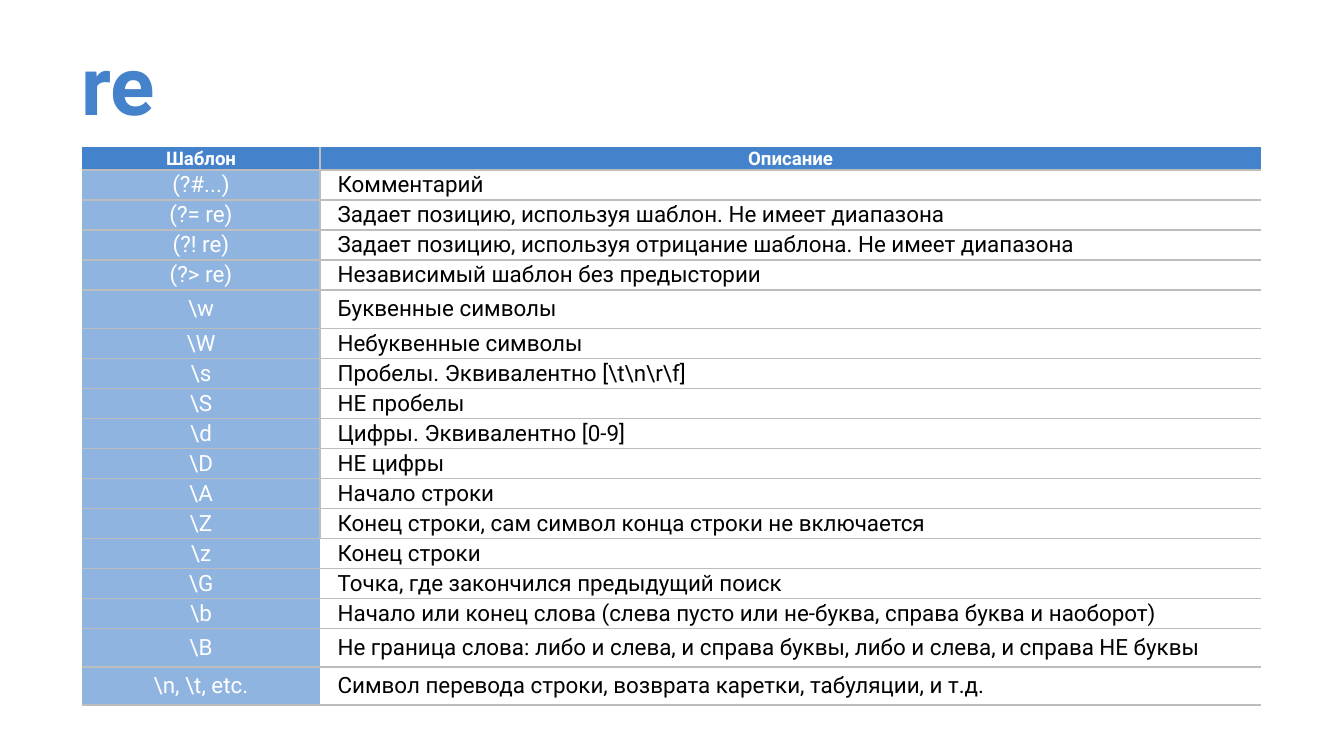
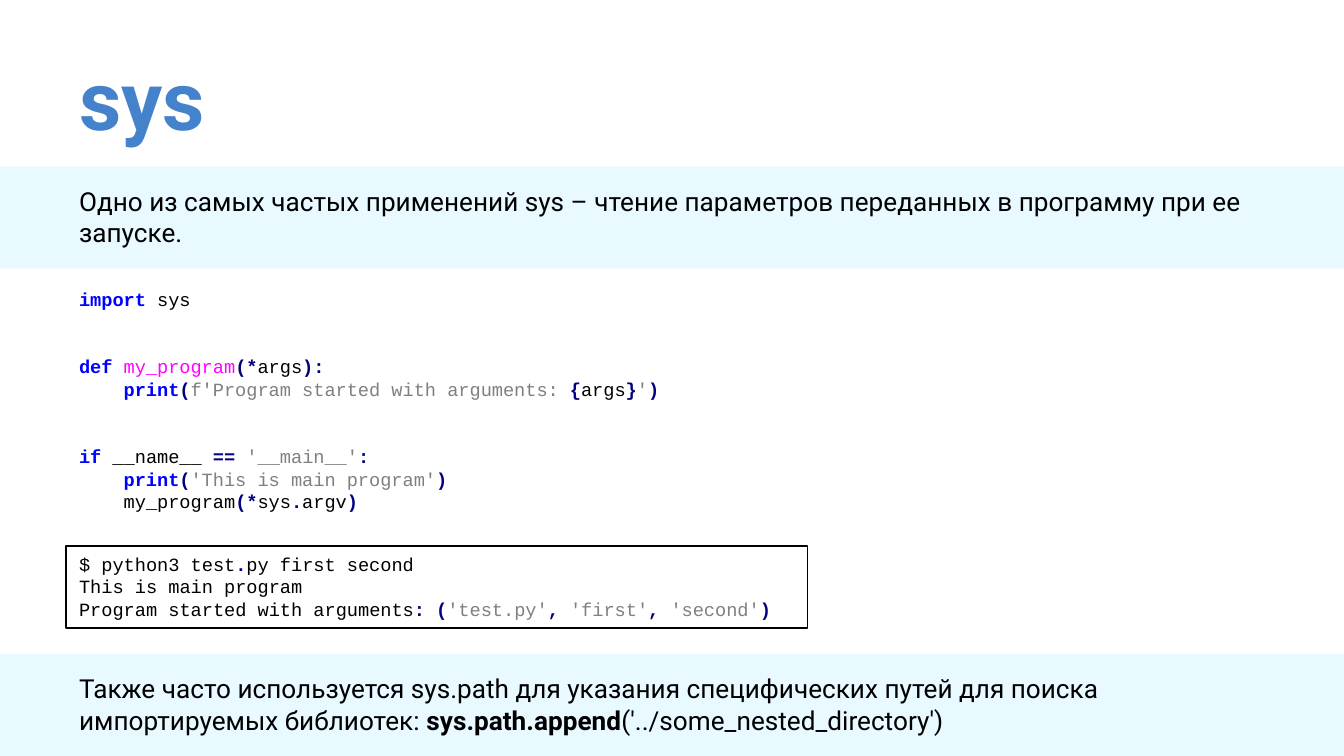
from lxml import etree
from pptx import Presentation
from pptx.dml.color import RGBColor
from pptx.enum import shapes, text
from pptx.oxml.ns import qn
from pptx.util import Pt

hue = RGBColor.from_string
BLUE, PALE, SKY = "4482CC", "8FB4E0", "E8F9FF"
GREY, WHITE, BLACK = "BDBDBD", "FFFFFF", "000000"

# Formats shared by both slides
HEAD = {"name": "Roboto", "size": Pt(44), "bold": True, "color": BLUE}
BODY = {"name": "Roboto", "size": Pt(14), "bold": False, "color": BLACK}
CELL = {**BODY, "size": Pt(12)}
CODE = {"name": "Courier New", "size": Pt(10), "bold": False, "color": BLACK}
# Code colours: t plain, k keyword, n name, o operator, s string
INK = {
    "t": CODE,
    "k": {**CODE, "bold": True, "color": "0000FF"},
    "n": {**CODE, "color": "FF00FF"},
    "o": {**CODE, "bold": True, "color": "000080"},
    "s": {**CODE, "color": "808080"},
}


def write(para, words, form):
    run = para.add_run()
    run.text = words
    for key, val in form.items():
        if key == "color":
            run.font.color.rgb = hue(val)
        else:
            setattr(run.font, key, val)


def fill_box(shape, lines, pad=None):
    frame = shape.text_frame
    frame.word_wrap = True
    frame.vertical_anchor = text.MSO_ANCHOR.TOP
    if pad is None:
        frame.auto_size = text.MSO_AUTO_SIZE.SHAPE_TO_FIT_TEXT
    else:
        for side in ("left", "right", "top", "bottom"):
            setattr(frame, "margin_" + side, Pt(pad))
    for i, (gap, runs) in enumerate(lines):
        para = frame.add_paragraph() if i else frame.paragraphs[0]
        para.alignment = text.PP_ALIGN.LEFT
        if gap:
            para.space_before = Pt(gap)
        for words, form in runs:
            write(para, words, form)


prs = Presentation()
prs.slide_width, prs.slide_height = Pt(720), Pt(405)

# Slides and their titles
pages = []
for name, left, top, wide, high in (
    ("re", 36.7, 20.9, 683.3, 83.5),
    ("sys", 35.3, 18.7, 684.7, 54.7),
):
    page = prs.slides.add_slide(prs.slide_layouts[6])
    title = page.shapes.add_textbox(Pt(left), Pt(top), Pt(wide), Pt(high))
    fill_box(title, [(0, [(name, HEAD)])], 7.2)
    pages.append((page, title))
pages[0][1].text_frame.paragraphs[0].line_spacing = 0.8

# Slide 1: table of patterns
rows = [
    ("Шаблон", "Описание"),
    ("(?#...)", "Комментарий"),
    ("(?= re)", "Задает позицию, используя шаблон. Не имеет диапазона"),
    ("(?! re)", "Задает позицию, используя отрицание шаблона. Не имеет диапазона"),
    ("(?> re)", "Независимый шаблон без предыстории"),
    (r"\w", "Буквенные символы"),
    (r"\W", "Небуквенные символы"),
    (r"\s", r"Пробелы. Эквивалентно [\t\n\r\f]"),
    (r"\S", "НЕ пробелы"),
    (r"\d", "Цифры. Эквивалентно [0-9]"),
    (r"\D", "НЕ цифры"),
    (r"\A", "Начало строки"),
    (r"\Z", "Конец строки, сам символ конца строки не включается"),
    (r"\z", "Конец строки"),
    (r"\G", "Точка, где закончился предыдущий поиск"),
    (r"\b", "Начало или конец слова (слева пусто или не-буква, справа буква и наоборот)"),
    (r"\B", "Не граница слова: либо и слева, и справа буквы, либо и слева, и справа НЕ буквы"),
    (r"\n, \t, etc.", "Символ перевода строки, возврата каретки, табуляции, и т.д."),
]
tall = (r"\w", r"\B", r"\n, \t, etc.")
split = 13  # from this row on the columns have no line between them
highs = [11.2] + [20.6 if row[0] in tall else 16.1 for row in rows[1:]]
grid = pages[0][0].shapes.add_table(
    len(rows), 2, Pt(43.9), Pt(79), Pt(631.6), Pt(sum(highs))
).table
grid.first_row = grid.horz_banding = False
grid.columns[0].width, grid.columns[1].width = Pt(127.6), Pt(504)

for r, row in enumerate(rows):
    grid.rows[r].height = Pt(highs[r])
    for c, words in enumerate(row):
        cell = grid.cell(r, c)
        cell.vertical_anchor = text.MSO_ANCHOR.MIDDLE
        cell.margin_left = cell.margin_right = Pt(2.2 if r else 4.3)
        cell.margin_top = cell.margin_bottom = Pt(0.7 if r else 0)

        # Cell borders come before the fill
        sides = ("T" if r else "") + "B"
        if r < split:
            sides += "RL"[c]
        props = cell._tc.get_or_add_tcPr()
        for side in "LRTB":
            line = etree.SubElement(props, qn("a:ln" + side), w=str(Pt(1)))
            if side in sides:
                solid = etree.SubElement(line, qn("a:solidFill"))
                etree.SubElement(solid, qn("a:srgbClr"), val=GREY)
            else:
                etree.SubElement(line, qn("a:noFill"))
        cell.fill.solid()
        cell.fill.fore_color.rgb = hue((PALE, WHITE)[c] if r else BLUE)

        para = cell.text_frame.paragraphs[0]
        if r and c:
            para.alignment = text.PP_ALIGN.LEFT
            para._p.get_or_add_pPr().set("indent", str(Pt(7.2)))
            form = CELL
        else:
            para.alignment = text.PP_ALIGN.CENTER
            form = {**CELL, "color": WHITE}
        if not r:
            form = {**form, "size": Pt(10), "bold": True}
        write(para, words, form)

# Slide 2: bands with notes
draw = pages[1][0].shapes
notes = [
    (89.3, [("Одно из самых частых применений sys – чтение параметров "
             "переданных в программу при ее запуске.", BODY)]),
    (350.4, [("Также часто используется sys.path для указания специфических "
              "путей для поиска импортируемых библиотек: ", BODY),
             ("sys.path.append", {**BODY, "bold": True}),
             ("('../some_nested_directory')", BODY)]),
]
for top, runs in notes:
    band = draw.add_shape(shapes.MSO_SHAPE.RECTANGLE, 0, Pt(top), Pt(720), Pt(54.6))
    band.shadow.inherit = False
    band.fill.solid()
    band.fill.fore_color.rgb = hue(SKY)
    band.line.fill.background()
    note = draw.add_textbox(Pt(35.3), Pt(top + 6.5), Pt(669), Pt(41))
    fill_box(note, [(0, runs)])

# Slide 2: program and its output, each line as (gap, runs)
gap = 24.2
code = [
    (0, [("import", "k"), (" sys", "t")]),
    (gap, [("def ", "k"), ("my_program", "n"), ("(*", "o"), ("args", "t"), ("):", "o")]),
    (0, [("    ", "t"), ("print", "k"), ("(", "o"),
         ("f'Program started with arguments: ", "s"), ("{", "o"), ("args", "t"),
         ("}", "o"), ("'", "s"), (")", "o")]),
    (gap, [("if", "k"), (" __name__ ", "t"), ("== ", "o"), ("'__main__'", "s"), (":", "o")]),
    (0, [("    ", "t"), ("print", "k"), ("(", "o"), ("'This is main program'", "s"), (")", "o")]),
    (0, [("    my_program", "t"), ("(*", "o"), ("sys", "t"), (".", "o"), ("argv", "t"), (")", "o")]),
]
shell = [
    (0, [("$ python3 test", "t"), (".", "o"), ("py first second", "t")]),
    (0, [("This is main program", "t")]),
    (0, [("Program started with arguments", "t"), (": (", "o"), ("'test.py'", "s"),
         (", ", "o"), ("'first'", "s"), (", ", "o"), ("'second'", "s"), (")", "o")]),
]
panel = draw.add_textbox(Pt(35.3), Pt(150.5), Pt(479.5), Pt(128.2))
frame = draw.add_shape(shapes.MSO_SHAPE.RECTANGLE, Pt(35.3), Pt(292.5), Pt(397.4), Pt(43.9))
frame.shadow.inherit = False
frame.fill.background()
frame.line.color.rgb = hue(BLACK)
frame.line.width = Pt(0.75)
for box, lines in ((panel, code), (frame, shell)):
    fill_box(box, [(g, [(w, INK[k]) for w, k in runs]) for g, runs in lines])

prs.save("out.pptx")
